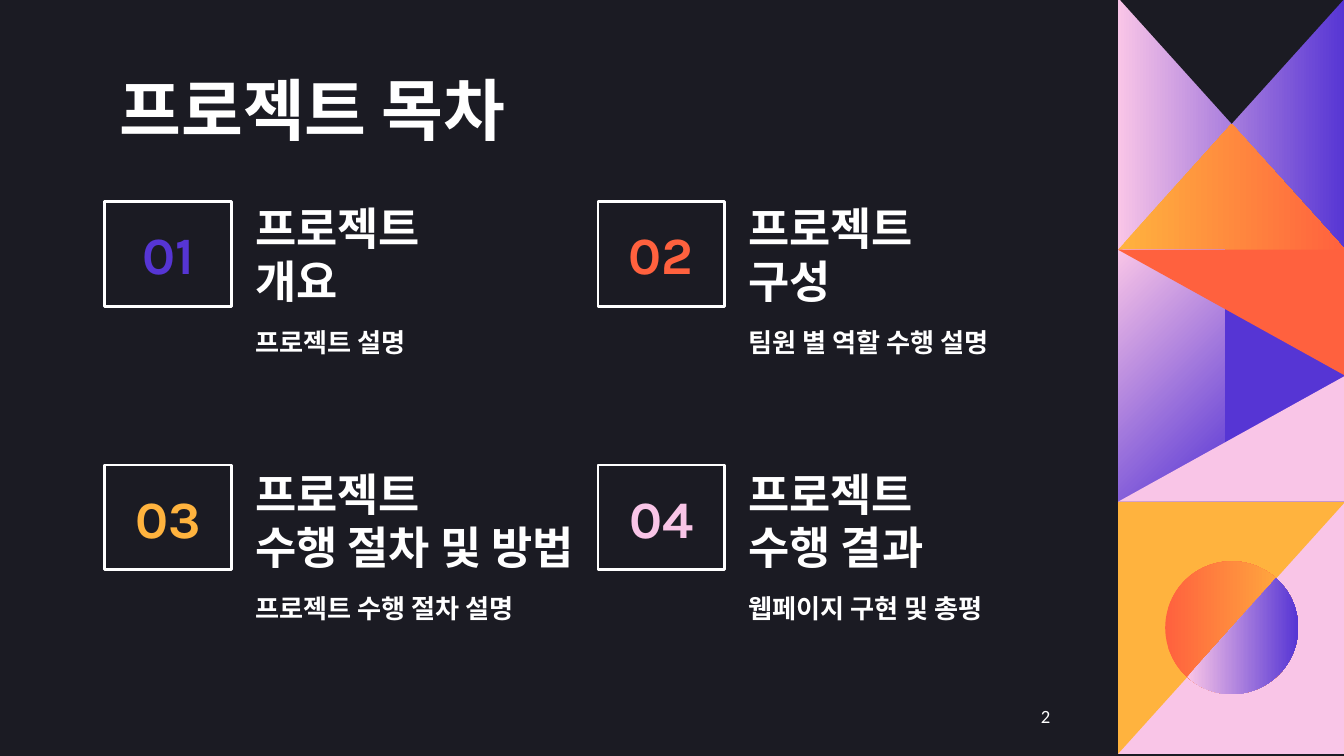
from dataclasses import dataclass
from math import cos, radians, sin

from pptx import Presentation
from pptx.dml.color import RGBColor
from pptx.enum.shapes import MSO_SHAPE as Shape
from pptx.enum.text import MSO_ANCHOR as Anchor, PP_ALIGN as Align
from pptx.util import Pt


@dataclass(frozen=True)
class Theme:
    night: str = "1B1B23"
    white: str = "FFFFFF"
    violet: str = "5635D4"
    coral: str = "FF613E"
    amber: str = "FFB33E"
    pink: str = "F9C5E7"
    body_font: str = "Calibri"
    number_font: str = "Karla"
    title_size: float = 36
    number_size: float = 28
    heading_size: float = 24
    caption_size: float = 14
    page_size: float = 10
    inset: float = 7.2


THEME = Theme()


def rgb(color):
    return RGBColor.from_string(color)


def write(shape, text, size, color=THEME.white, font=THEME.body_font,
          align=Align.LEFT, bold=True):
    frame = shape.text_frame
    frame.word_wrap = True
    frame.vertical_anchor = Anchor.MIDDLE
    frame.margin_left = frame.margin_right = Pt(THEME.inset)
    frame.margin_top = frame.margin_bottom = Pt(THEME.inset)
    frame.text = text
    for paragraph in frame.paragraphs:
        paragraph.alignment = align
        for run in paragraph.runs:
            run.font.size, run.font.name = Pt(size), font
            run.font.bold, run.font.color.rgb = bold, rgb(color)


def add_text(slide, box, text, size, **style):
    write(slide.shapes.add_textbox(*map(Pt, box)), text, size, **style)


def paint(shape, colors, angle=0):
    """One colour fills flat; two make a gradient."""
    shape.shadow.inherit = False
    shape.line.fill.background()
    if len(colors) == 1:
        shape.fill.solid()
        shape.fill.fore_color.rgb = rgb(colors[0])
        return
    shape.fill.gradient()
    shape.fill.gradient_angle = angle
    for stop, color, position in zip(shape.fill.gradient_stops, colors, (0, 1)):
        stop.color.rgb = rgb(color)
        stop.position = position


def add_polygon(slide, box, corners, *colors, angle=0):
    """Corners are fractions of the box."""
    left, top, width, height = box
    points = [(Pt(left + x * width), Pt(top + y * height)) for x, y in corners]
    builder = slide.shapes.build_freeform(*points[0], scale=1.0)
    builder.add_line_segments(points[1:], close=True)
    paint(builder.convert_to_shape(), colors, angle)


SQUARE = [(0, 0), (1, 0), (1, 1), (0, 1)]


def peak_tile(slide, box):
    add_polygon(slide, box, SQUARE, THEME.pink, THEME.violet)
    add_polygon(slide, box, [(0, 1), (0.5, 0.5), (1, 1)], THEME.amber, THEME.coral)
    add_polygon(slide, box, [(0, 0), (1, 0), (0.5, 0.5)], THEME.night)


def arrow_tile(slide, box):
    band = 0.47
    add_polygon(slide, box, SQUARE, THEME.violet)
    add_polygon(slide, box, [(0, 0), (band, 0), (band, 1), (0, 1)],
                THEME.pink, THEME.violet, angle=315)
    add_polygon(slide, box, [(0, 0), (1, 0), (1, 0.5)], THEME.coral)
    add_polygon(slide, box, [(1, 0.5), (1, 1), (0, 1)], THEME.pink)


def disc_tile(slide, box):
    left, top, width, height = box
    add_polygon(slide, box, SQUARE, THEME.pink)
    add_polygon(slide, box, [(0, 0), (1, 0), (0, 1)], THEME.amber)
    radius = 35.6
    disc = (left + width / 2 - radius, top + height / 2 - radius,
            2 * radius, 2 * radius)
    paint(slide.shapes.add_shape(Shape.OVAL, *map(Pt, disc)),
          (THEME.coral, THEME.amber))
    # Lower right half, cut along the tile's diagonal
    arc = [(0.5 + cos(radians(a)) / 2, 0.5 + sin(radians(a)) / 2)
           for a in range(-48, 133, 4)]
    add_polygon(slide, disc, arc, THEME.pink, THEME.violet)


def pattern_panel(slide, box):
    left, top, width, height = box
    tiles = (peak_tile, arrow_tile, disc_tile)
    tile_height = height / len(tiles)
    for row, draw_tile in enumerate(tiles):
        draw_tile(slide, (left, top + row * tile_height, width, tile_height))


def agenda_item(slide, box, text_drop, number, color, heading, heading_width, caption):
    left, top, width, height = box
    badge = slide.shapes.add_shape(Shape.RECTANGLE, *map(Pt, (left, top, 67.7, height)))
    badge.shadow.inherit = False
    badge.fill.background()
    badge.line.color.rgb = rgb(THEME.white)
    badge.line.width = Pt(1.5)
    write(badge, number, THEME.number_size, color=color,
          font=THEME.number_font, align=Align.CENTER)
    text_left, text_top = left + 73.4, top + text_drop
    add_text(slide, (text_left, text_top, heading_width, height),
             heading, THEME.heading_size)
    add_text(slide, (text_left, text_top + height, width - 73.4, 38.2),
             caption, THEME.caption_size)


def agenda(slide, box):
    left, top, width, height = box
    column_step, row_step = 264.2, 141.1
    items = [
        ("01", THEME.violet, "프로젝트\n개요", 167, "프로젝트 설명"),
        ("02", THEME.coral, "프로젝트\n구성", 167, "팀원 별 역할 수행 설명"),
        ("03", THEME.amber, "프로젝트\n수행 절차 및 방법", 191, "프로젝트 수행 절차 설명"),
        ("04", THEME.pink, "프로젝트\n수행 결과", 167, "웹페이지 구현 및 총평"),
    ]
    for index, item in enumerate(items):
        row, column = divmod(index, 2)
        item_box = (left + column * column_step, top + row * row_step,
                    width - column_step, 56.2)
        agenda_item(slide, item_box, row * 1.4, *item)


def main():
    deck = Presentation()
    deck.slide_width, deck.slide_height = Pt(720), Pt(405)
    slide = deck.slides.add_slide(deck.slide_layouts[6])
    slide.background.fill.solid()
    slide.background.fill.fore_color.rgb = rgb(THEME.night)

    # Decorative column
    pattern_panel(slide, (599, -1.2, 121.7, 405))
    # Title
    add_text(slide, (56.9, 35.3, 607, 45.4), "프로젝트 목차", THEME.title_size)
    # Table of contents
    agenda(slide, (56.2, 108, 521.9, 237))
    # Page number
    add_text(slide, (538.6, 367.9, 43.2, 31), "2", THEME.page_size,
             align=Align.CENTER, bold=False)

    deck.save("out.pptx")


if __name__ == "__main__":
    main()
